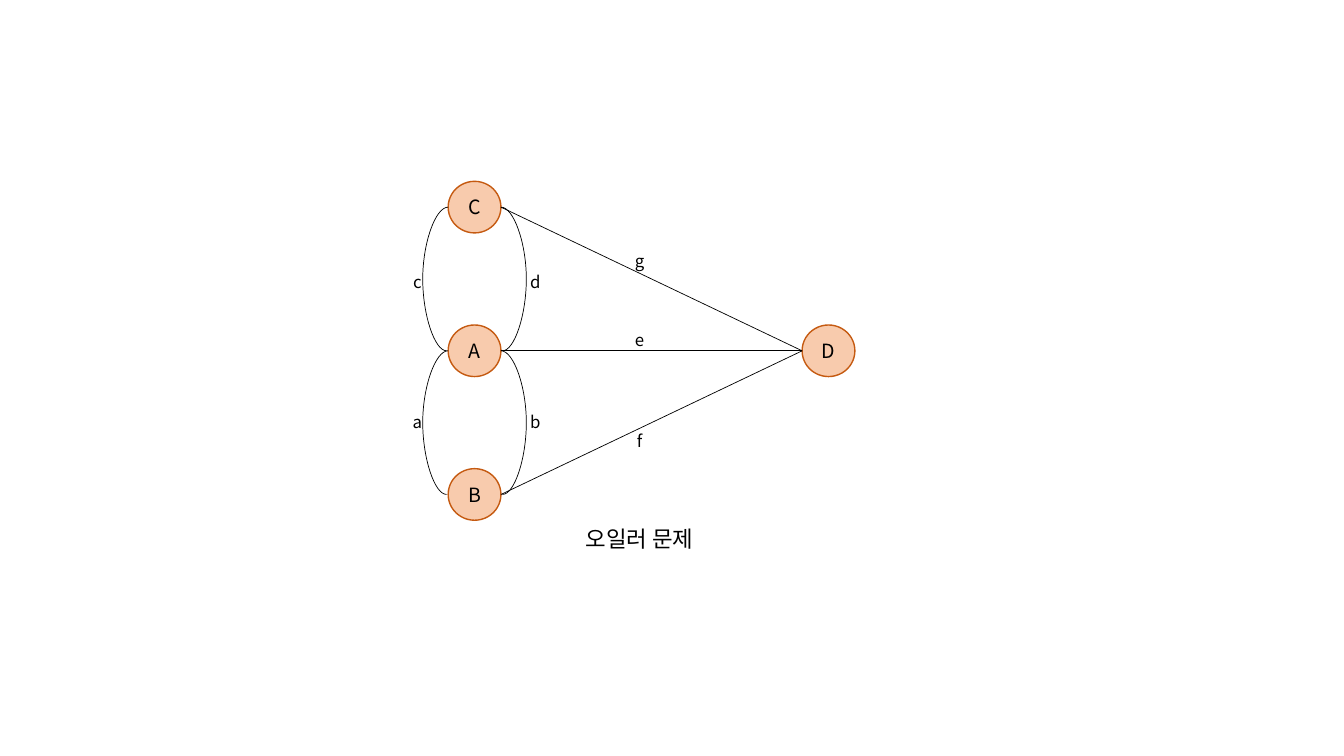
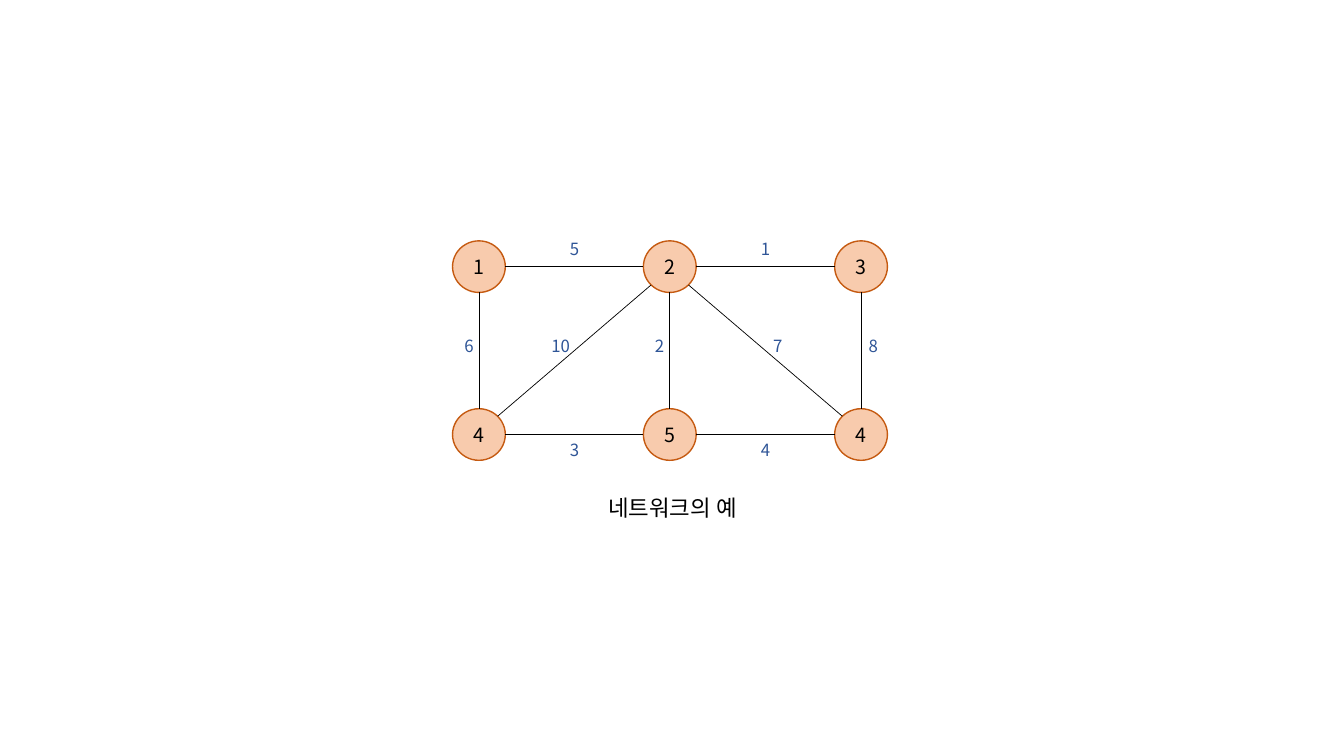
from lxml import etree
from pptx import Presentation
from pptx.dml.color import RGBColor
from pptx.enum.shapes import MSO_CONNECTOR, MSO_SHAPE
from pptx.enum.text import MSO_ANCHOR, MSO_AUTO_SIZE, PP_ALIGN
from pptx.oxml.ns import qn
from pptx.util import Cm, Pt

STRAIGHT, CURVED = MSO_CONNECTOR.STRAIGHT, MSO_CONNECTOR.CURVE
OVAL = MSO_SHAPE.OVAL
MIDDLE, CENTER = MSO_ANCHOR.MIDDLE, PP_ALIGN.CENTER
FIT_TEXT = MSO_AUTO_SIZE.SHAPE_TO_FIT_TEXT

FONT = "Noto Sans CJK KR"
BLACK = RGBColor(0x00, 0x00, 0x00)
PEACH = RGBColor(0xF8, 0xCB, 0xAD)
RUST = RGBColor(0xC5, 0x5A, 0x11)
BLUE = RGBColor(0x2F, 0x55, 0x97)

# Lengths in cm
NODE_W, NODE_H = 1.33, 1.3
LABEL_H, CAPTION_H = 0.77, 0.94
CURVE_STEP, BULGE = 0.04, 0.64

# Sides of a node, as fractions of its half width and half height
LEFT, RIGHT, TOP, BOTTOM = (-1, 0), (1, 0), (0, -1), (0, 1)
LOWER_LEFT, LOWER_RIGHT = (-0.71, 0.71), (0.71, 0.71)
UPPER_LEFT, UPPER_RIGHT = (-0.71, -0.71), (0.71, -0.71)


def write(frame, text, size=12, color=BLACK):
    """Put one centred line of text into a text frame."""
    frame.word_wrap = True
    paragraph = frame.paragraphs[0]
    paragraph.alignment = CENTER
    run = paragraph.add_run()
    run.text = text
    run.font.size = Pt(size)
    run.font.color.rgb = color
    run.font.name = FONT
    etree.SubElement(run.font._element, qn("a:ea"), typeface=FONT)


def connect(slide, start, end, kind=STRAIGHT):
    """Draw a thin black connector between two points in cm."""
    edge = slide.shapes.add_connector(kind, *map(Cm, start + end))
    edge.line.color.rgb = BLACK
    edge.line.width = Pt(0.5)
    properties = edge._element.spPr
    etree.SubElement(properties, qn("a:effectLst"))
    if kind == CURVED:
        guides = properties.find(qn("a:prstGeom")).get_or_add_avLst()
        ratio = round(BULGE / CURVE_STEP * 100000)
        etree.SubElement(guides, qn("a:gd"), name="adj1", fmla=f"val {ratio}")


# Nodes are (text, column, row); edges join (column, row) cells;
# labels are (text, centre, top)
euler = dict(
    columns=(11.96, 20.88), rows=(5.22, 8.84, 12.46),
    nodes=[("C", 0, 0), ("A", 0, 1), ("B", 0, 2), ("D", 1, 1)],
    edges=[((0, row), RIGHT, (1, 1), LEFT) for row in range(3)],
    curves=[(row, side) for row in range(2) for side in (LEFT, RIGHT)],
    labels=[("g", 16.12, 6.2), ("e", 16.12, 8.18), ("f", 16.12, 10.72),
            ("c", 10.52, 6.73), ("d", 13.49, 6.73),
            ("a", 10.52, 10.26), ("b", 13.49, 10.26)],
    label_width=1.47, label_color=BLACK,
    caption=("오일러 문제", 16.12, 13.11), caption_width=4.7,
)
network = dict(
    columns=(12.07, 16.88, 21.7), rows=(6.72, 10.95),
    nodes=[("1", 0, 0), ("2", 1, 0), ("3", 2, 0),
           ("4", 0, 1), ("5", 1, 1), ("4", 2, 1)],
    edges=[((col, row), RIGHT, (col + 1, row), LEFT)
           for row in range(2) for col in range(2)]
    + [((col, 0), BOTTOM, (col, 1), TOP) for col in range(3)]
    + [((1, 0), LOWER_LEFT, (0, 1), UPPER_RIGHT),
       ((1, 0), LOWER_RIGHT, (2, 1), UPPER_LEFT)],
    curves=[],
    labels=[("5", 14.48, 5.89), ("1", 19.29, 5.89),
            ("3", 14.48, 10.95), ("4", 19.29, 10.95),
            ("6", 11.82, 8.33), ("10", 14.13, 8.33), ("2", 16.62, 8.33),
            ("7", 19.6, 8.33), ("8", 22.01, 8.33)],
    label_width=2.67, label_color=BLUE,
    caption=("네트워크의 예", 16.95, 12.32), caption_width=8.41,
)

deck = Presentation()
deck.slide_width, deck.slide_height = Cm(33.87), Cm(19.05)

for graph in (euler, network):
    slide = deck.slides.add_slide(deck.slide_layouts[6])
    columns, rows = graph["columns"], graph["rows"]

    for text, col, row in graph["nodes"]:
        node = slide.shapes.add_shape(
            OVAL, Cm(columns[col] - NODE_W / 2), Cm(rows[row] - NODE_H / 2),
            Cm(NODE_W), Cm(NODE_H))
        node.shadow.inherit = False
        node.fill.solid()
        node.fill.fore_color.rgb = PEACH
        node.line.color.rgb = RUST
        node.line.width = Pt(1)
        node.text_frame.vertical_anchor = MIDDLE
        write(node.text_frame, text, size=14)

    for start_cell, start_side, end_cell, end_side in graph["edges"]:
        start, end = [
            (columns[col] + dx * NODE_W / 2, rows[row] + dy * NODE_H / 2)
            for (col, row), (dx, dy) in ((start_cell, start_side),
                                         (end_cell, end_side))]
        connect(slide, start, end)

    for row, (direction, _) in graph["curves"]:
        x = columns[0] + direction * NODE_W / 2
        connect(slide, (x, rows[row]),
                (x + direction * CURVE_STEP, rows[row + 1]), kind=CURVED)

    captions = [(graph["caption"], graph["caption_width"], CAPTION_H, 16, BLACK)]
    labels = [(label, graph["label_width"], LABEL_H, 12, graph["label_color"])
              for label in graph["labels"]]
    for (text, center, top), width, height, size, color in labels + captions:
        box = slide.shapes.add_textbox(
            Cm(center - width / 2), Cm(top), Cm(width), Cm(height))
        box.text_frame.auto_size = FIT_TEXT
        write(box.text_frame, text, size=size, color=color)

deck.save("out.pptx")
